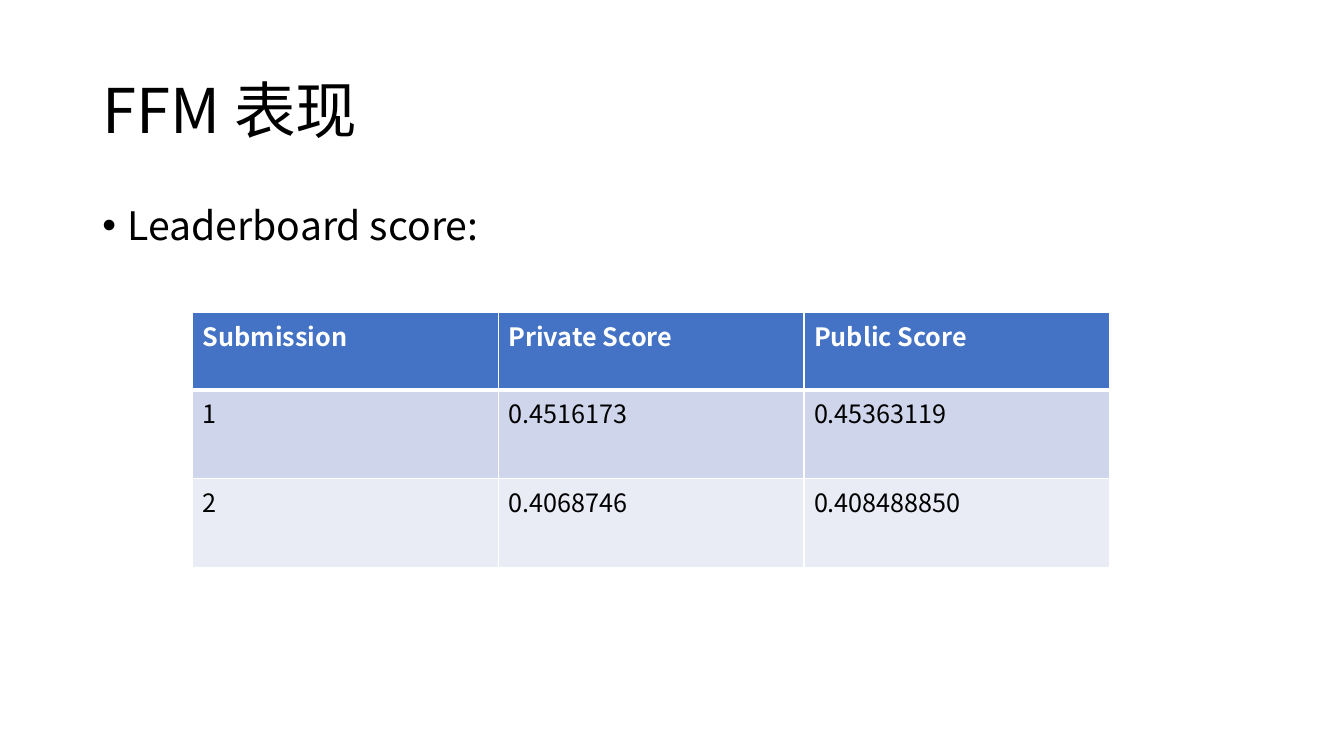
from dataclasses import dataclass

import lxml.etree
import pptx
import pptx.dml.color
import pptx.enum.text
import pptx.oxml.ns
import pptx.util
from pptx.util import Cm

qn = pptx.oxml.ns.qn


@dataclass(frozen=True)
class Theme:
    font: str = "Noto Sans CJK SC"
    title_size: int = 44
    body_size: int = 28
    table_size: int = 18
    text: str = "000000"
    white: str = "FFFFFF"
    header_fill: str = "4472C4"
    odd_fill: str = "CFD5EA"
    even_fill: str = "E9EBF5"
    thin_border: int = 1
    thick_border: int = 3


@dataclass(frozen=True)
class ScoreRow:
    values: tuple[str, str, str]
    height: float
    fill: str
    color: str = "000000"
    bold: bool = False


THEME = Theme()
SCORE_ROWS = (
    ScoreRow(("Submission", "Private Score", "Public Score"), 1.96,
             THEME.header_fill, THEME.white, True),
    ScoreRow(("1", "0.4516173", "0.45363119"), 2.24, THEME.odd_fill, THEME.text),
    ScoreRow(("2", "0.4068746", "0.408488850"), 2.24, THEME.even_fill, THEME.text),
)
COLUMN_WIDTH = 7.7


def rgb(color: str) -> pptx.dml.color.RGBColor:
    return pptx.dml.color.RGBColor.from_string(color)


def write_text(frame, text: str, size: int, color: str, bold: bool = False):
    """Set a one-paragraph text with its Latin and East Asian font."""
    frame.text = text
    para = frame.paragraphs[0]
    for span in para.runs:
        span.font.name = THEME.font
        span.font.size = pptx.util.Pt(size)
        span.font.bold = bold
        span.font.color.rgb = rgb(color)
        latin = span.font._element.find(qn("a:latin"))
        east_asian = latin.makeelement(qn("a:ea"), {"typeface": THEME.font})
        latin.addnext(east_asian)
    return para


def add_text(page, top: float, height: float, text: str, size: int,
             anchor: pptx.enum.text.MSO_ANCHOR):
    box = page.shapes.add_textbox(Cm(2.33), Cm(top), Cm(29.21), Cm(height))
    box.text_frame.word_wrap = True
    box.text_frame.vertical_anchor = anchor
    para = write_text(box.text_frame, text, size, THEME.text)
    para.line_spacing = 0.9
    return para


def add_bullet(para) -> None:
    properties = para._p.get_or_add_pPr()
    properties.set("marL", str(Cm(0.64)))
    properties.set("indent", str(Cm(-0.64)))
    lxml.etree.SubElement(properties, qn("a:buFont"), typeface="Arial")
    lxml.etree.SubElement(properties, qn("a:buChar"), char="•")


def add_border(cell, side: str, width: int) -> None:
    line = lxml.etree.SubElement(cell._tc.get_or_add_tcPr(), qn(f"a:ln{side}"),
                                 w=str(pptx.util.Pt(width)))
    fill = lxml.etree.SubElement(line, qn("a:solidFill"))
    lxml.etree.SubElement(fill, qn("a:srgbClr"), val=THEME.white)


def add_score_table(page, left: float, top: float) -> None:
    column_count = len(SCORE_ROWS[0].values)
    table = page.shapes.add_table(
        len(SCORE_ROWS), column_count, Cm(left), Cm(top),
        Cm(COLUMN_WIDTH * column_count),
        Cm(sum(row.height for row in SCORE_ROWS))).table
    for column in table.columns:
        column.width = Cm(COLUMN_WIDTH)
    for row_index, row in enumerate(SCORE_ROWS):
        table.rows[row_index].height = Cm(row.height)
        thick_side = {0: "B", 1: "T"}.get(row_index)
        for column_index, value in enumerate(row.values):
            cell = table.cell(row_index, column_index)
            write_text(cell.text_frame, value, THEME.table_size, row.color, row.bold)
            for side in "LRTB":
                width = THEME.thick_border if side == thick_side else THEME.thin_border
                add_border(cell, side, width)
            cell.fill.solid()
            cell.fill.fore_color.rgb = rgb(row.fill)


def main() -> None:
    deck = pptx.Presentation()
    deck.slide_width, deck.slide_height = Cm(33.87), Cm(19.05)
    page = deck.slides.add_slide(deck.slide_layouts[6])
    add_text(page, 1.01, 3.68, "FFM 表现", THEME.title_size,
             pptx.enum.text.MSO_ANCHOR.MIDDLE)
    bullet = add_text(page, 5.07, 12.09, "Leaderboard score:", THEME.body_size,
                      pptx.enum.text.MSO_ANCHOR.TOP)
    bullet.space_before = pptx.util.Pt(10)
    add_bullet(bullet)
    add_score_table(page, 4.86, 7.86)
    deck.save("out.pptx")


if __name__ == "__main__":
    main()
